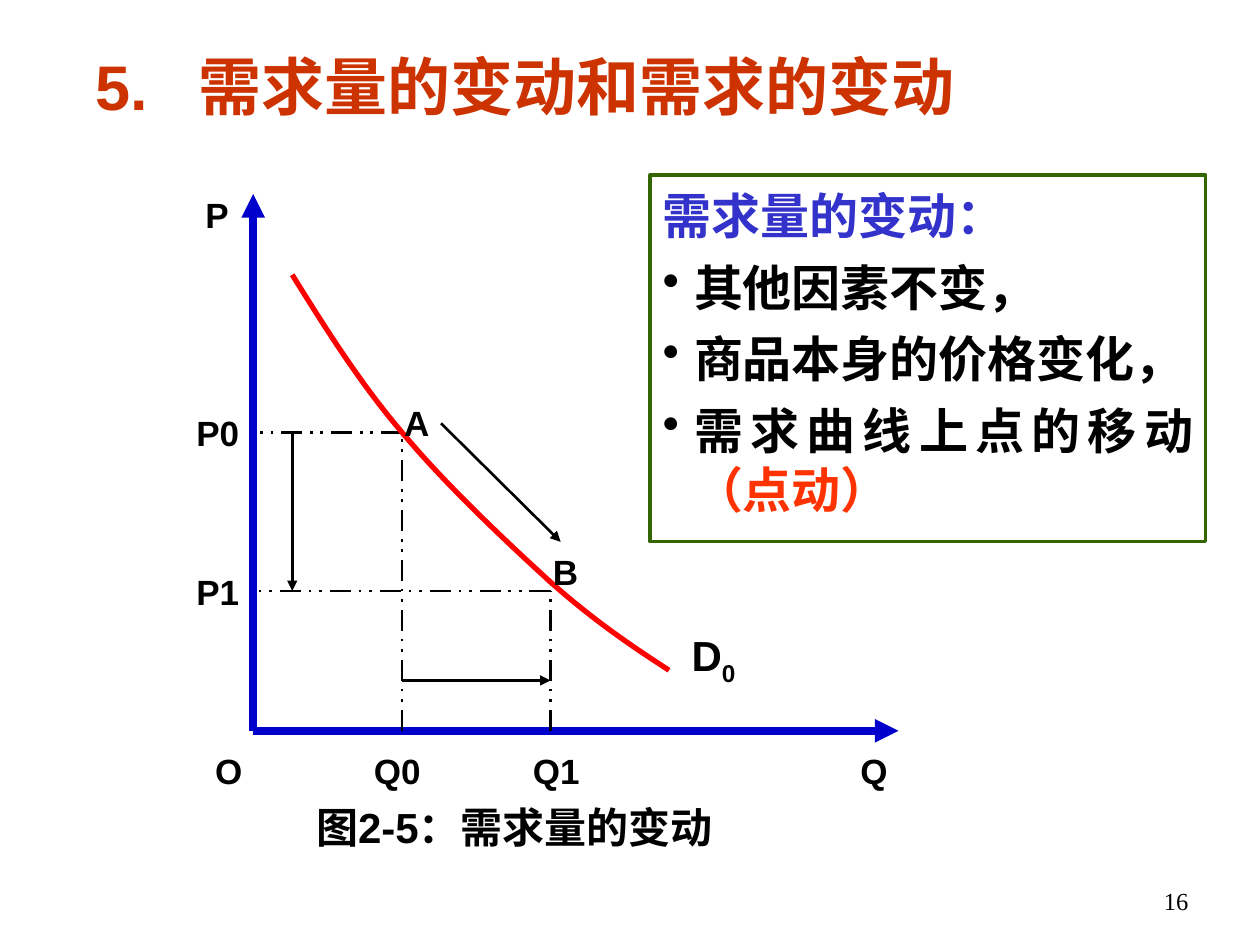
from dataclasses import dataclass

from lxml.etree import SubElement
from pptx import Presentation
from pptx.dml.color import RGBColor
from pptx.enum.dml import MSO_LINE
from pptx.enum.shapes import MSO_CONNECTOR, MSO_SHAPE
from pptx.enum.text import MSO_ANCHOR, PP_ALIGN
from pptx.oxml.ns import qn
from pptx.util import Pt

BLACK = RGBColor(0x00, 0x00, 0x00)
WHITE = RGBColor(0xFF, 0xFF, 0xFF)
AXIS_BLUE = RGBColor(0x00, 0x00, 0xCC)
CURVE_RED = RGBColor(0xFF, 0x00, 0x00)
BORDER_GREEN = RGBColor(0x33, 0x66, 0x00)
HEADING_BLUE = RGBColor(0x33, 0x33, 0xCC)
ACCENT_RED = RGBColor(0xFF, 0x33, 0x00)
TITLE_RED = RGBColor(0xCC, 0x33, 0x00)

LATIN = "Arial"
CJK = "Noto Sans CJK SC"
SERIF = "Times New Roman"

ORIGIN_X, ORIGIN_Y = 144.7, 417.6
Q0, Q1 = 229.7, 314.6
P0, P1 = 247, 337.7
SHIFT_X = 167
LABEL_ROW = 423.4
PRICE_COLUMN = 105.1

CURVE = [
    [(167, 157), (185.8, 187.2), (205.2, 218.2), (Q0, P0)],
    [(Q0, P0), (254.2, 276.5), (289.4, 309.6), (Q1, 332.6)],
    [(Q1, 332.6), (339.8, 355), (361.4, 369.4), (382.3, 383)],
]
CURVE_STEPS = 16


@dataclass(frozen=True)
class Stroke:
    start: tuple[float, float]
    end: tuple[float, float]
    color: RGBColor = BLACK
    width: float = 1.5
    dashed: bool = False
    arrow: bool = True


@dataclass(frozen=True)
class Label:
    text: str
    left: float
    top: float
    width: float = 45.4
    size: float = 20
    subscript: str = ""


STROKES = [
    Stroke((ORIGIN_X, ORIGIN_Y), (513.4, ORIGIN_Y), AXIS_BLUE, 4.5),
    Stroke((ORIGIN_X, ORIGIN_Y), (ORIGIN_X, 110.9), AXIS_BLUE, 4.5),
    *(
        Stroke(start, end, dashed=True, arrow=False)
        for quantity, price in ((Q0, P0), (Q1, P1))
        for start, end in (
            ((quantity, ORIGIN_Y), (quantity, price)),
            ((quantity, price), (ORIGIN_X, price)),
        )
    ),
    Stroke((Q0, 388.8), (Q1, 388.8)),
    Stroke((SHIFT_X, P0), (SHIFT_X, P1)),
    Stroke((252, 241.9), (320.4, 309.6)),
]

LABELS = [
    Label("O", 115.9, LABEL_ROW, 28.1),
    Label("Q0", 206.6, LABEL_ROW),
    Label("Q1", 297.4, LABEL_ROW),
    Label("Q", 484.6, LABEL_ROW, 28.1),
    Label("P", 110.2, 105.8, 28.1),
    Label("P0", PRICE_COLUMN, 230.4),
    Label("P1", PRICE_COLUMN, 321.1),
    Label("A", 223.9, 224.6),
    Label("B", 308.9, 309.6),
    Label("D", 388.1, 355, 51.1, 24, "0"),
]

FACTORS = [
    ("其他因素不变，", ""),
    ("商品本身的价格变化，", ""),
    ("需求曲线上点的移动", "（点动）"),
]


def style(paragraph, size: float, color: RGBColor, latin: str = LATIN, bold: bool = True) -> None:
    """Set the paragraph font, with its East Asian face."""
    font = paragraph.font
    font.size, font.bold, font.name = Pt(size), bold, latin
    font.color.rgb = color
    properties = paragraph._p.get_or_add_pPr().find(qn("a:defRPr"))
    SubElement(properties, qn("a:ea")).set("typeface", CJK)


def add_text(slide, left: float, top: float, width: float, height: float, wrap: bool = True):
    """Add a text box and return its frame."""
    frame = slide.shapes.add_textbox(Pt(left), Pt(top), Pt(width), Pt(height)).text_frame
    frame.word_wrap = wrap
    return frame


def draw_stroke(slide, stroke: Stroke) -> None:
    """Draw an axis, guide or arrow."""
    ends = [Pt(value) for value in (*stroke.start, *stroke.end)]
    connector = slide.shapes.add_connector(MSO_CONNECTOR.STRAIGHT, *ends)
    connector.line.color.rgb = stroke.color
    connector.line.width = Pt(stroke.width)
    if stroke.dashed:
        connector.line.dash_style = MSO_LINE.DASH_DOT_DOT
    if stroke.arrow:
        SubElement(connector.line._get_or_add_ln(), qn("a:tailEnd")).set("type", "triangle")
    SubElement(connector._element.spPr, qn("a:effectLst"))


def draw_label(slide, label: Label) -> None:
    """Write a label of the diagram."""
    frame = add_text(slide, label.left, label.top, label.width, label.size + 12)
    frame.margin_top = Pt(5)
    paragraph = frame.paragraphs[0]
    paragraph.add_run().text = label.text
    if label.subscript:
        subscript = paragraph.add_run()
        subscript.text = label.subscript
        subscript._r.get_or_add_rPr().set("baseline", "-25000")
    style(paragraph, label.size, BLACK)


def bezier_point(controls: list[tuple[float, float]], t: float) -> tuple[int, int]:
    """Return the point of a cubic Bézier segment at t."""
    weights = ((1 - t) ** 3, 3 * t * (1 - t) ** 2, 3 * t**2 * (1 - t), t**3)
    x, y = (sum(w * v for w, v in zip(weights, axis)) for axis in zip(*controls))
    return Pt(x), Pt(y)


def draw_demand_curve(slide) -> None:
    """Draw the demand curve as one open outline."""
    points = [bezier_point(part, step / CURVE_STEPS) for part in CURVE for step in range(1, CURVE_STEPS + 1)]
    builder = slide.shapes.build_freeform(*bezier_point(CURVE[0], 0))
    builder.add_line_segments(points, close=False)
    curve = builder.convert_to_shape()
    curve.shadow.inherit = False
    curve.fill.background()
    curve.line.color.rgb = CURVE_RED
    curve.line.width = Pt(3)


def draw_definition(slide) -> None:
    """Draw the framed definition with its bulleted factors."""
    panel = slide.shapes.add_shape(MSO_SHAPE.RECTANGLE, Pt(371.5), Pt(100), Pt(317.5), Pt(209.5))
    panel.shadow.inherit = False
    panel.fill.solid()
    panel.fill.fore_color.rgb = WHITE
    panel.line.color.rgb = BORDER_GREEN
    panel.line.width = Pt(2)
    frame = panel.text_frame
    frame.word_wrap = True
    frame.vertical_anchor = MSO_ANCHOR.TOP
    frame.margin_top = Pt(5.5)
    heading = frame.paragraphs[0]
    heading.text = "需求量的变动："
    heading.alignment = PP_ALIGN.JUSTIFY
    heading.line_spacing = Pt(34)
    style(heading, 28, HEADING_BLUE, CJK)
    for factor, emphasis in FACTORS:
        item = frame.add_paragraph()
        item.alignment = PP_ALIGN.JUSTIFY
        item.line_spacing = Pt(34)
        item.space_before = Pt(7)
        properties = item._p.get_or_add_pPr()
        properties.set("marL", str(Pt(18)))
        properties.set("indent", str(-Pt(18)))
        SubElement(properties, qn("a:buChar")).set("char", "•")
        style(item, 28, BLACK, CJK)
        item.add_run().text = factor
        if emphasis:
            accent = item.add_run()
            accent.text = emphasis
            accent.font.color.rgb = ACCENT_RED


def main() -> None:
    """Build the slide and save it."""
    presentation = Presentation()
    presentation.slide_width, presentation.slide_height = Pt(720), Pt(540)
    slide = presentation.slides.add_slide(presentation.slide_layouts[6])

    for stroke in STROKES:
        draw_stroke(slide, stroke)
    draw_demand_curve(slide)
    for label in LABELS:
        draw_label(slide, label)
    draw_definition(slide)

    title_frame = add_text(slide, 47.5, 18, 591, 61.2)
    title_frame.vertical_anchor = MSO_ANCHOR.MIDDLE
    title = title_frame.paragraphs[0]
    title.text = "5.\t需求量的变动和需求的变动"
    tabs = SubElement(title._p.get_or_add_pPr(), qn("a:tabLst"))
    SubElement(tabs, qn("a:tab"), pos=str(Pt(59)), algn="l")
    style(title, 36, TITLE_RED)

    caption = add_text(slide, 173.5, 454.5, 252.7, 36, wrap=False).paragraphs[0]
    caption.text = "图2-5：需求量的变动"
    style(caption, 24, BLACK)

    page_number = add_text(slide, 518.4, 502.6, 167.8, 37.4).paragraphs[0]
    page_number.text = "16"
    page_number.alignment = PP_ALIGN.RIGHT
    style(page_number, 14, BLACK, SERIF, bold=False)

    presentation.save("out.pptx")


if __name__ == "__main__":
    main()
